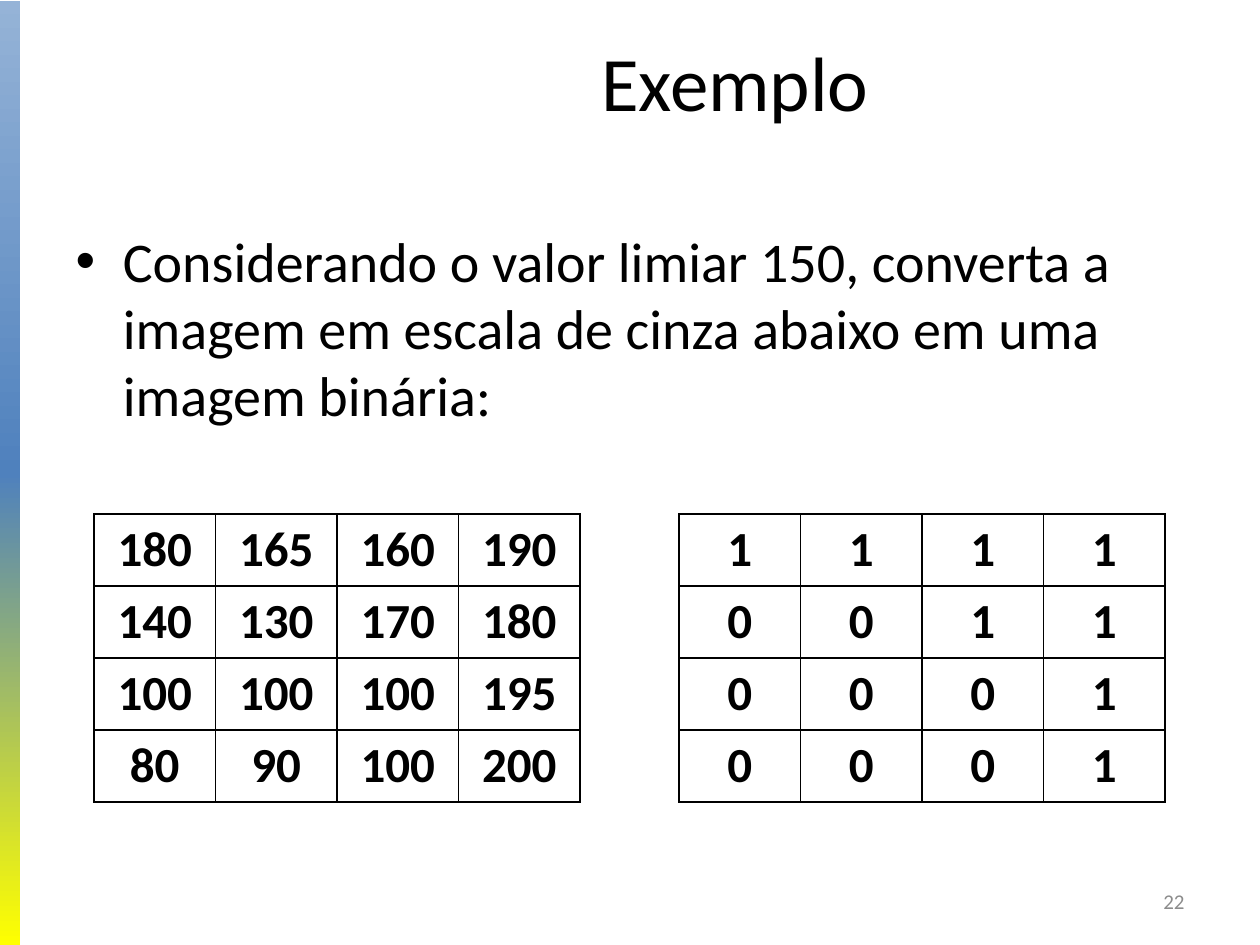
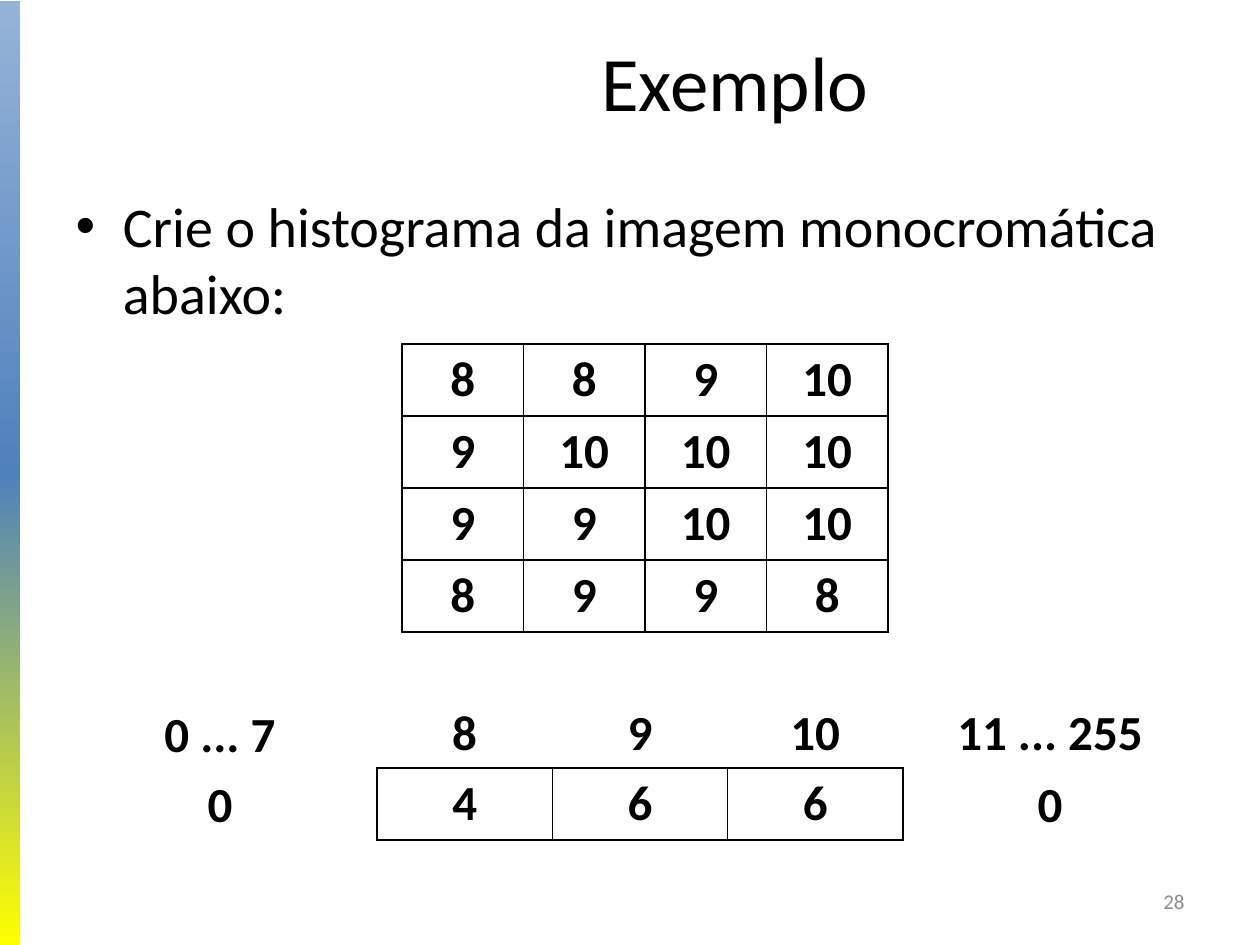
import copy

import pptx
import pptx.dml.color
import pptx.enum.shapes
import pptx.enum.text
import pptx.oxml
import pptx.oxml.ns
import pptx.util

EMU_PER_PIXEL = 914400 / 126
ALIGN = pptx.enum.text.PP_ALIGN
ANCHOR = pptx.enum.text.MSO_ANCHOR
FIT = pptx.enum.text.MSO_AUTO_SIZE

BLACK, GREY = "000000", "8C8C8C"
BAND_STOPS = [(0, "95B3D7"), (0.5, "4F81BD"), (1, "FFFF00")]
TITLE_FONT = {"size": pptx.util.Pt(44), "bold": False}
BODY_FONT = {"size": pptx.util.Pt(32), "bold": False}
VALUE_FONT = {"size": pptx.util.Pt(28), "bold": True}
NUMBER_FONT = {"size": pptx.util.Pt(12), "bold": False}
ROW_HEIGHT = 72
MATRIX_WIDTH = 486

GREY_LEVELS = [[180, 165, 160, 190], [140, 130, 170, 180],
               [100, 100, 100, 195], [80, 90, 100, 200]]
THRESHOLD = 150
MONOCHROME = [[8, 8, 9, 10], [9, 10, 10, 10], [9, 9, 10, 10], [8, 9, 9, 8]]
LEVELS = [8, 9, 10]


def px(pixels):
    """Turn pixels into EMU."""
    return pptx.util.Emu(round(pixels * EMU_PER_PIXEL))


def rgb(hex_string):
    """Turn a hex string into a colour."""
    return pptx.dml.color.RGBColor.from_string(hex_string)


def set_all(target, values):
    """Set every attribute named in values on target."""
    for name, value in values.items():
        setattr(target, name, value)


def place(shape, left, top, width, height):
    """Move and size a shape, in pixels."""
    set_all(shape, {"left": px(left), "top": px(top),
                    "width": px(width), "height": px(height)})


def write(frame, text, font, align, color=BLACK):
    """Write one formatted paragraph into a text frame."""
    paragraph = frame.paragraphs[0]
    paragraph.alignment = align
    run = paragraph.add_run()
    run.text = str(text)
    set_all(run.font, {"name": "Calibri", **font})
    run.font.color.rgb = rgb(color)


def add_master_band(prs, slide):
    """Draw the gradient side band and move it to the slide master."""
    band = slide.shapes.add_shape(
        pptx.enum.shapes.MSO_SHAPE.RECTANGLE, px(-5), px(1), px(25), px(945))
    band.shadow.inherit = False
    band.line.fill.background()
    band.fill.gradient()
    band.fill.gradient_angle = 270
    stop_list = band._element.spPr.find(".//" + pptx.oxml.ns.qn("a:gsLst"))
    stop_list.append(copy.deepcopy(stop_list[-1]))
    for stop, (position, color) in zip(band.fill.gradient_stops, BAND_STOPS):
        stop.position = position
        stop.color.rgb = rgb(color)
    prs.slide_master.shapes._spTree.insert(2, band._element)


def add_example_slide(prs, task, task_top, number):
    """Add a slide with its title, bulleted task and slide number."""
    slide = prs.slides.add_slide(prs.slide_layouts[1])
    title, body = slide.placeholders
    place(title, 273, 16, 924, 130)
    set_all(title.text_frame, {"vertical_anchor": ANCHOR.MIDDLE,
                               "auto_size": FIT.NONE})
    write(title.text_frame, "Exemplo", TITLE_FONT, ALIGN.CENTER)
    place(body, 63, task_top, 1134, 624)
    body.text_frame.auto_size = FIT.NONE
    write(body.text_frame, task, BODY_FONT, ALIGN.LEFT)

    footer = slide.shapes.add_textbox(px(903), px(876), px(294), px(50))
    set_all(footer.text_frame, {"word_wrap": True,
                                "vertical_anchor": ANCHOR.MIDDLE})
    write(footer.text_frame, number, NUMBER_FONT, ALIGN.RIGHT, GREY)
    return slide


def add_borders(cell):
    """Give a cell a thin black line on all four sides."""
    properties = cell._tc.get_or_add_tcPr()
    for index, side in enumerate("LRTB"):
        properties.insert(index, pptx.oxml.parse_xml(
            f'<a:ln{side} {pptx.oxml.ns.nsdecls("a")} w="12700"><a:solidFill>'
            f'<a:srgbClr val="{BLACK}"/></a:solidFill></a:ln{side}>'))


def add_matrix(slide, values, left, top, width=MATRIX_WIDTH):
    """Add a bordered table of pixel values with equal columns."""
    rows, columns = len(values), len(values[0])
    matrix = slide.shapes.add_table(rows, columns, px(left), px(top),
                                    px(width), px(rows * ROW_HEIGHT)).table
    set_all(matrix, {"first_row": False, "horz_banding": False})
    for row, row_values in enumerate(values):
        for column, value in enumerate(row_values):
            cell = matrix.cell(row, column)
            cell.fill.background()
            add_borders(cell)
            write(cell.text_frame, value, VALUE_FONT, ALIGN.CENTER)


def add_label(slide, text, center, top, width):
    """Add a bold label centred on a horizontal position."""
    label = slide.shapes.add_textbox(px(center - width / 2), px(top),
                                     px(width), px(ROW_HEIGHT))
    set_all(label.text_frame, {"word_wrap": False,
                               "auto_size": FIT.SHAPE_TO_FIT_TEXT})
    write(label.text_frame, text, VALUE_FONT, ALIGN.CENTER)


def add_histogram(slide, left, top, width):
    """Add the level counts with the levels above and empty ranges beside."""
    pixels = [value for row in MONOCHROME for value in row]
    add_matrix(slide, [[pixels.count(level) for level in LEVELS]],
               left, top, width)
    step = width / len(LEVELS)
    for index, level in enumerate(LEVELS):
        add_label(slide, level, left + step * (index + 0.5), top - 73,
                  25 + 25 * len(str(level)))
    for text, center, label_top, label_width in (
            ("0 ... 7", 220, top - 71, 139), ("11 ... 255", 1050, top - 73, 214)):
        add_label(slide, text, center, label_top, label_width)
        add_label(slide, 0, center, top - 1, 50)


def main():
    """Build both example slides and save them."""
    prs = pptx.Presentation()
    set_all(prs, {"slide_width": px(1260), "slide_height": px(945)})

    threshold = add_example_slide(
        prs, "Considerando o valor limiar 150, converta a imagem em escala "
        "de cinza abaixo em uma imagem binária:", 220, 22)
    add_master_band(prs, threshold)
    binary = [[int(value > THRESHOLD) for value in row] for row in GREY_LEVELS]
    add_matrix(threshold, GREY_LEVELS, 94, 514)
    add_matrix(threshold, binary, 679, 514)

    histogram = add_example_slide(
        prs, "Crie o histograma da imagem monocromática abaixo:", 185, 28)
    add_matrix(histogram, MONOCHROME, 402, 344)
    add_histogram(histogram, 377, 768, 526)

    prs.save("out.pptx")


main()
